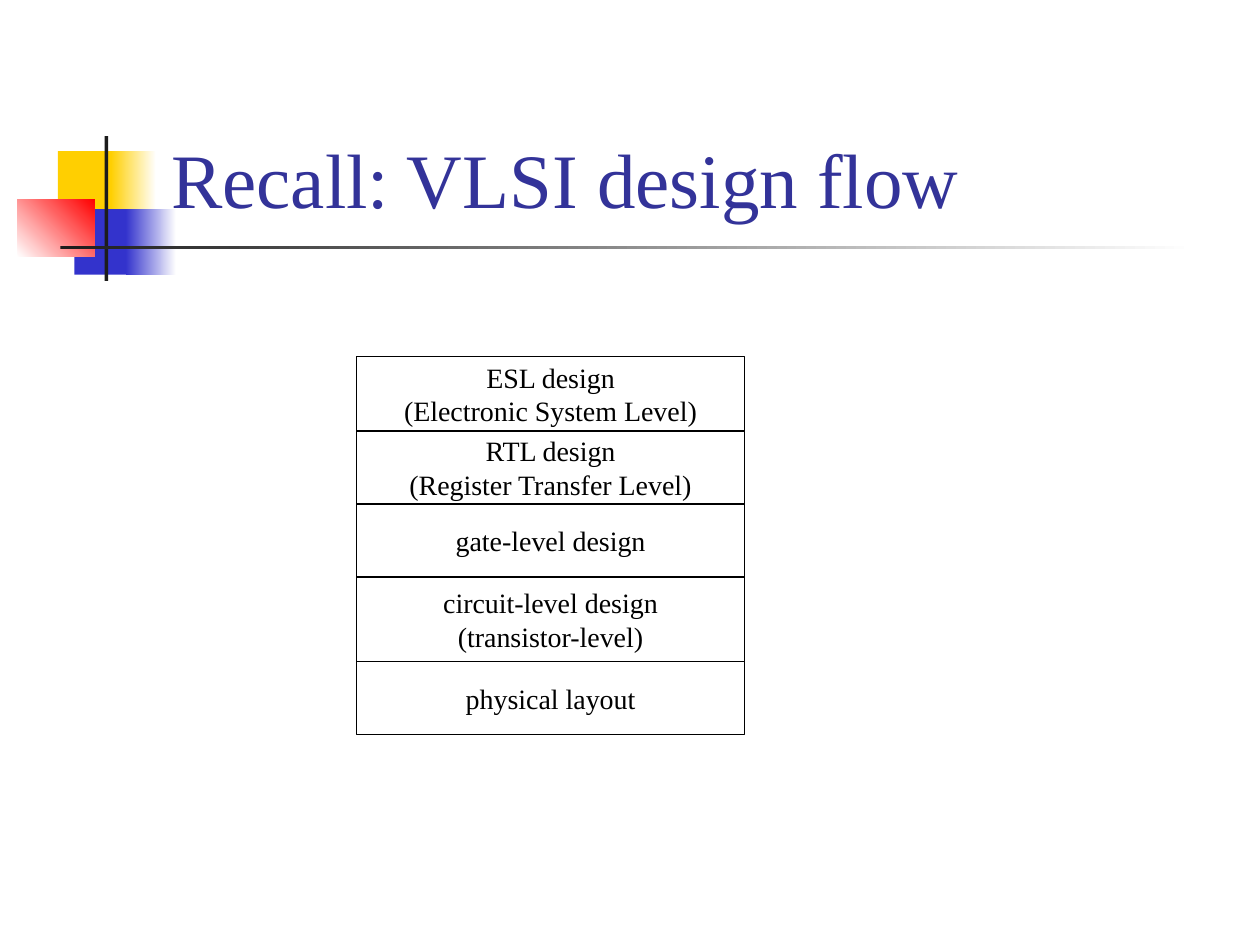
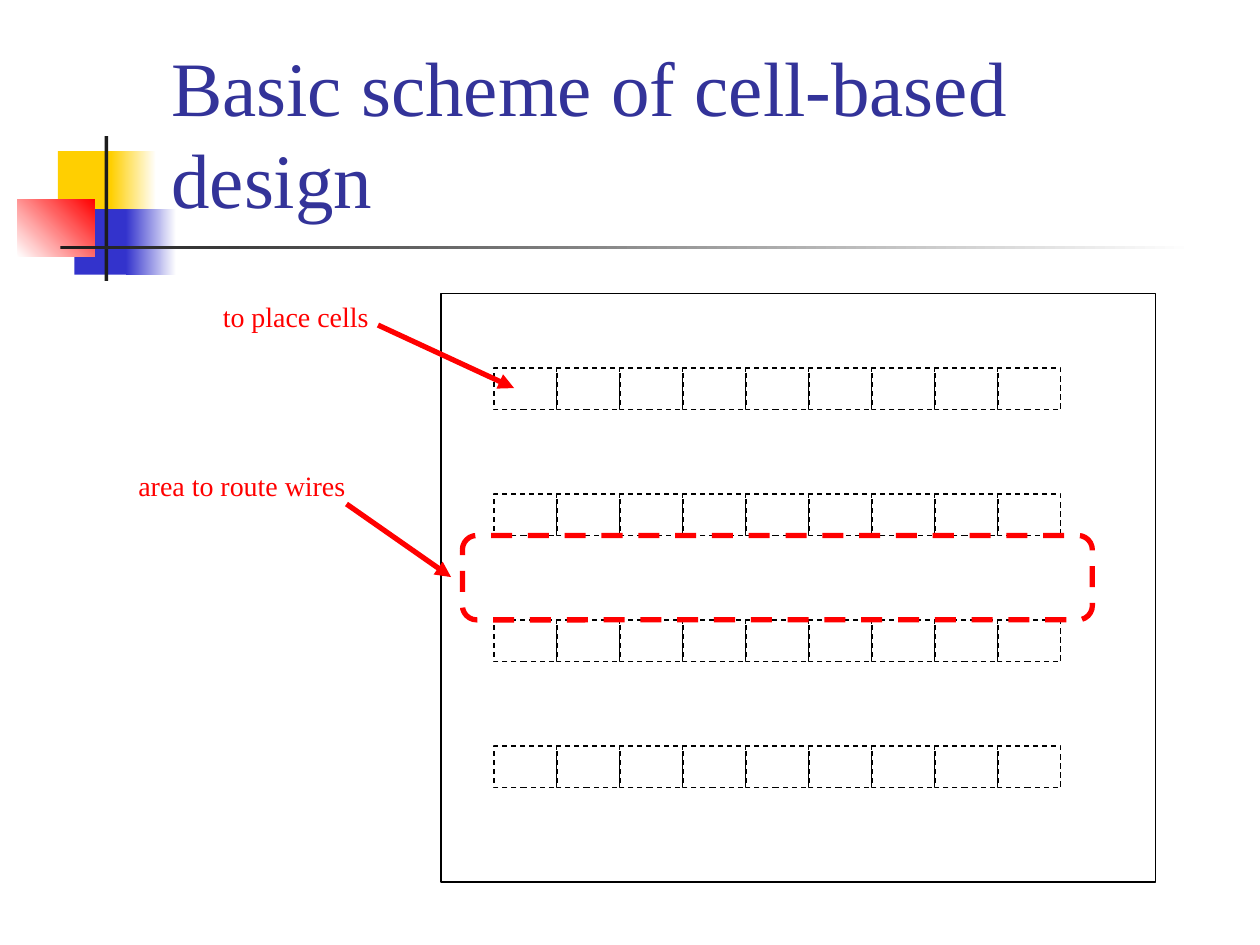
"""Build two slides on VLSI design flow and the cell-based layout scheme."""
from dataclasses import dataclass
from itertools import pairwise, product

from pptx import Presentation
from pptx.dml.color import RGBColor as Color
from pptx.enum.dml import MSO_LINE as Dash
from pptx.enum.shapes import MSO_CONNECTOR as Connector, MSO_SHAPE as Shape
from pptx.enum.text import MSO_ANCHOR as Anchor, MSO_AUTO_SIZE as AutoSize, PP_ALIGN as Align
from pptx.oxml.ns import qn
from pptx.util import Inches, Pt
from lxml import etree


@dataclass(frozen=True)
class Theme:
    font: str = "Times New Roman"
    title_size: int = 44
    text_size: int = 16
    thin: float = 0.75
    thick: float = 3
    title: Color = Color.from_string("333399")
    yellow: Color = Color.from_string("FFCF01")
    blue: Color = Color.from_string("3333CC")
    red: Color = Color.from_string("FF0000")
    charcoal: Color = Color.from_string("1C1C1C")
    black: Color = Color.from_string("000000")
    white: Color = Color.from_string("FFFFFF")


theme = Theme()


def add_box(slide, place, kind=Shape.RECTANGLE, line=None, width=theme.thin, dash=None):
    box = slide.shapes.add_shape(kind, *map(Inches, place))
    box.shadow.inherit = False
    box.fill.background()
    if line is None:
        box.line.fill.background()
    else:
        box.line.color.rgb = line
        box.line.width = Pt(width)
        if dash:
            box.line.dash_style = dash
    return box


def write_lines(frame, lines, size, color, align=Align.LEFT):
    for index, line in enumerate(lines):
        para = frame.paragraphs[0] if index == 0 else frame.add_paragraph()
        para.alignment = align
        span = para.add_run()
        span.text = line
        span.font.name = theme.font
        span.font.size = Pt(size)
        span.font.color.rgb = color


deck = Presentation()
deck.slide_width, deck.slide_height = Inches(10), Inches(7.5)
title_only = deck.slide_layouts.get_by_name("Title Only")

ornaments = [
    ((0.46, 1.2, 0.48, 0.52), [theme.yellow], 0),
    ((0.88, 1.2, 0.36, 0.52), [theme.yellow, theme.white], 0),
    ((0.59, 1.66, 0.46, 0.52), [theme.blue], 0),
    ((1, 1.66, 0.4, 0.52), [theme.blue, theme.white], 0),
    ((0.14, 1.58, 0.61, 0.46), [theme.white, theme.red], 45),
    ((0.83, 1.08, 0.03, 1.15), [theme.charcoal], 0),
    ((0.48, 1.95, 9, 0.03), [theme.charcoal, theme.white], 0),
]

pages = []
for heading in ["Recall: VLSI design flow", "Basic scheme of cell-based design"]:
    page = deck.slides.add_slide(title_only)
    for place, colors, angle in ornaments:
        ornament = add_box(page, place)
        if len(colors) == 1:
            ornament.fill.solid()
            ornament.fill.fore_color.rgb = colors[0]
        else:
            ornament.fill.gradient()
            ornament.fill.gradient_angle = angle
            for stop, color in zip(ornament.fill.gradient_stops, colors):
                stop.color.rgb = color
    title = page.shapes.title
    title.left, title.top, title.width, title.height = map(Inches, (1.26, 0.23, 8.52, 1.6))
    title.text_frame.word_wrap = True
    title.text_frame.auto_size = AutoSize.NONE
    title.text_frame.vertical_anchor = Anchor.BOTTOM
    write_lines(title.text_frame, [heading], theme.title_size, theme.title)
    page.shapes.element.append(title.element)
    pages.append(page)

flow_page, scheme_page = pages

design_levels = [
    ["ESL design", "(Electronic System Level)"],
    ["RTL design", "(Register Transfer Level)"],
    ["gate-level design"],
    ["circuit-level design", "(transistor-level)"],
    ["physical layout"],
]
level_edges = [2.83, 3.42, 4, 4.58, 5.25, 5.83]
for lines, (top, bottom) in zip(design_levels, pairwise(level_edges)):
    level = add_box(flow_page, (2.83, top, 3.08, bottom - top), line=theme.black)
    level.text_frame.word_wrap = False
    level.text_frame.vertical_anchor = Anchor.MIDDLE
    write_lines(level.text_frame, lines, theme.text_size, theme.black, Align.CENTER)

for row, column in product(range(4), range(9)):
    cell_place = (3.92 + 0.5 * column, 2.92 + row, 0.5, 0.33)
    add_box(scheme_page, cell_place, line=theme.black, dash=Dash.DASH)
add_box(scheme_page, (3.5, 2.33, 5.67, 4.67), line=theme.black)
routing_area = add_box(scheme_page, (3.67, 4.25, 5, 0.67), Shape.ROUNDED_RECTANGLE,
                       theme.red, theme.thick, Dash.DASH)
routing_area.adjustments[0] = 0.17

callouts = [
    ("to place cells", (1.67, 2.33, 1.37, 0.37), (3, 2.58, 4.08, 3.08)),
    ("area to route wires", (1, 3.67, 1.85, 0.37), (2.75, 4, 3.58, 4.58)),
]
for label, label_place, arrow_ends in callouts:
    arrow = scheme_page.shapes.add_connector(Connector.STRAIGHT, *map(Inches, arrow_ends))
    arrow.line.color.rgb = theme.red
    arrow.line.width = Pt(theme.thick)
    etree.SubElement(arrow.line._get_or_add_ln(), qn("a:tailEnd"), type="triangle")
    etree.SubElement(arrow.element.spPr, qn("a:effectLst"))
    note = scheme_page.shapes.add_textbox(*map(Inches, label_place))
    note.text_frame.word_wrap = False
    note.text_frame.auto_size = AutoSize.SHAPE_TO_FIT_TEXT
    write_lines(note.text_frame, [label], theme.text_size, theme.red)

deck.save("out.pptx")
